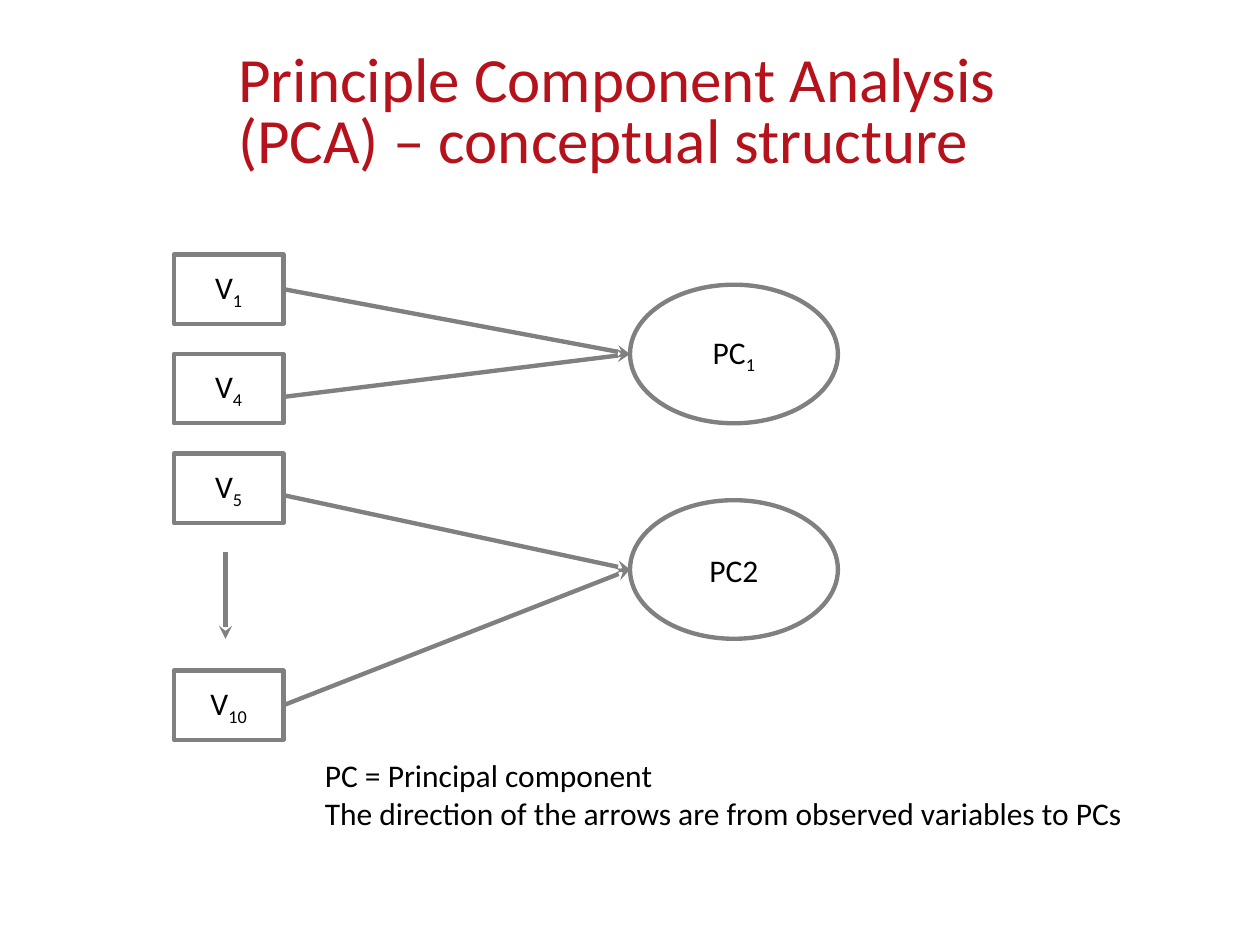
from lxml import etree
from pptx import Presentation
from pptx.dml.color import RGBColor
from pptx.enum.shapes import MSO_CONNECTOR, MSO_SHAPE
from pptx.enum.text import MSO_ANCHOR, MSO_AUTO_SIZE, PP_ALIGN
from pptx.oxml.ns import qn
from pptx.util import Inches, Pt

RECT, OVAL = MSO_SHAPE.RECTANGLE, MSO_SHAPE.OVAL
STRAIGHT = MSO_CONNECTOR.STRAIGHT
MIDDLE, CENTER, LEFT = MSO_ANCHOR.MIDDLE, PP_ALIGN.CENTER, PP_ALIGN.LEFT
NO_FIT, GROW = MSO_AUTO_SIZE.NONE, MSO_AUTO_SIZE.SHAPE_TO_FIT_TEXT
COLORS = {"title": "B5121B", "text": "000000", "line": "808080"}
FONT = "Calibri"

# Grid: variables in the left column, components in the right one
VAR_X, VAR_W, VAR_H = 1.38, 0.87, 0.55
PC_X, PC_W, PC_H = 5, 1.65, 1.1
TOP, VAR_PITCH = 2.02, 0.79
PC_TOP, PC_PITCH = 2.26, 1.71

prs = Presentation()
prs.slide_width, prs.slide_height = Inches(10), Inches(7.5)
s = prs.slides.add_slide(prs.slide_layouts[5])


def add_node(kind, x, y, w, h, label, subscript):
    sp = s.shapes.add_shape(kind, Inches(x), Inches(y), Inches(w), Inches(h))
    sp.shadow.inherit = False
    sp.fill.background()
    sp.line.color.rgb = RGBColor.from_string(COLORS["line"])
    sp.line.width = Pt(2.5)
    sp.text_frame.vertical_anchor = MIDDLE
    p = sp.text_frame.paragraphs[0]
    p.alignment = CENTER
    for text in filter(None, (label, subscript)):
        r = p.add_run()
        r.text = text
        r.font.name, r.font.size = FONT, Pt(18)
        r.font.color.rgb = RGBColor.from_string(COLORS["text"])
        if text == subscript:
            r.font._element.set("baseline", "-25000")
    return sp


def add_arrow(x1, y1, x2, y2):
    c = s.shapes.add_connector(STRAIGHT, Inches(x1), Inches(y1), Inches(x2), Inches(y2))
    c.line.color.rgb = RGBColor.from_string(COLORS["line"])
    c.line.width = Pt(2.5)
    etree.SubElement(c.line._get_or_add_ln(), qn("a:tailEnd"), type="stealth")
    etree.SubElement(c._element.spPr, qn("a:effectLst"))
    return c


# Title
title = s.shapes.title
title.left, title.top = Inches(1.79), Inches(0.28)
title.width, title.height = Inches(7.4), Inches(1.26)
tf = title.text_frame
tf.text = "Principle Component Analysis (PCA) – conceptual structure"
tf.auto_size, tf.vertical_anchor = NO_FIT, MIDDLE
p = tf.paragraphs[0]
p.alignment, p.line_spacing = LEFT, Pt(35)
r = p.runs[0]
r.font.name, r.font.size = FONT, Pt(36)
r.font.color.rgb = RGBColor.from_string(COLORS["title"])

# Explanation
note = s.shapes.add_textbox(Inches(2.48), Inches(5.95), Inches(6.6), Inches(0.71))
tf = note.text_frame
tf.word_wrap, tf.auto_size = False, GROW
tf.text = ("PC = Principal component\n"
           "The direction of the arrows are from observed variables to PCs")
for p in tf.paragraphs:
    for r in p.runs:
        r.font.name, r.font.size = FONT, Pt(18)
        r.font.color.rgb = RGBColor.from_string(COLORS["text"])

# Components
for i, (label, subscript) in enumerate([("PC", "1"), ("PC2", "")]):
    add_node(OVAL, PC_X, PC_TOP + i * PC_PITCH, PC_W, PC_H, label, subscript)

# Variables: subscript, row, component, arrow start below the box top (None = middle)
variables = [("1", 0, 0, None), ("4", 1, 0, 0.34), ("5", 2, 1, 0.33), ("10", 4.18, 1, None)]
for subscript, row, component, drop in variables:
    y = TOP + row * VAR_PITCH
    box = add_node(RECT, VAR_X, y, VAR_W, VAR_H, "V", subscript)
    target_y = PC_TOP + component * PC_PITCH + PC_H / 2
    arrow = add_arrow(VAR_X + VAR_W, y + (drop or VAR_H / 2), PC_X, target_y)
    if drop is None:
        arrow.begin_connect(box, 3)

# Arrow standing for the variables between V5 and V10
add_arrow(1.79, 4.38, 1.79, 5.07)

prs.save("out.pptx")
